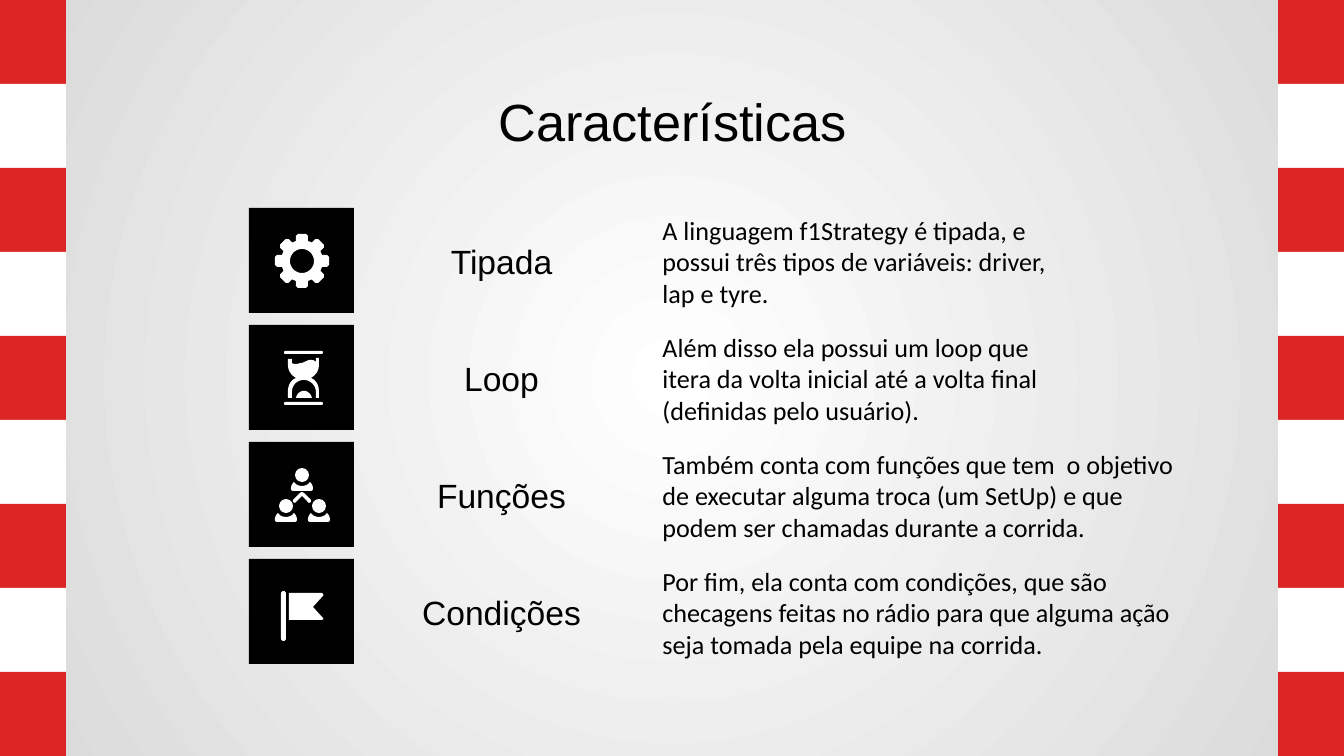
from math import cos, pi, sin

from lxml import etree
from pptx import Presentation
from pptx import util as u
from pptx.dml.color import RGBColor
from pptx.enum import shapes, text
from pptx.oxml import ns

PX = 914400 / 134.4
FINE = 10
HUES = {"red": "DC2525", "white": "FFFFFF", "black": "000000", "grey": "D9D9D9"}
RECT = shapes.MSO_SHAPE.RECTANGLE
OVAL = shapes.MSO_SHAPE.OVAL
PILL = shapes.MSO_SHAPE.ROUNDED_RECTANGLE
ROWS = [
    ("Tipada", 445, "A linguagem f1Strategy é tipada, e possui três tipos de variáveis: driver, lap e tyre."),
    ("Loop", 445, "Além disso ela possui um loop que itera da volta inicial até a volta final (definidas pelo usuário)."),
    ("Funções", 556, "Também conta com funções que tem  o objetivo de executar alguma troca (um SetUp) e que podem ser chamadas durante a corrida."),
    ("Condições", 535, "Por fim, ela conta com condições, que são checagens feitas no rádio para que alguma ação seja tomada pela equipe na corrida."),
]
GLASS = [
    (316, 358), (316, 362), (314, 360, 312, 360, 310, 360),
    (308, 360, 305, 362, 302, 363), (300, 363, 298, 364, 297, 364),
    (294, 364, 293, 364, 292, 363), (292, 359), (288, 359), (288, 364),
    (288, 371, 291, 375, 296, 378), (291, 380, 288, 385, 288, 392),
    (288, 398), (292, 398), (292, 392), (292, 385, 297, 380, 304, 380),
    (310, 380, 316, 385, 316, 392), (316, 398), (319, 398), (319, 392),
    (319, 385, 316, 380, 311, 378), (316, 375, 319, 371, 319, 364), (319, 358),
]
SAND = [(304, 391), (300, 391, 297, 394, 296, 398), (312, 398), (311, 394, 308, 391, 304, 391)]
BUST = [
    (294, 482), (292, 484, 291, 486, 291, 489), (291, 490, 292, 491, 293, 491),
    (311, 491), (312, 491, 313, 490, 313, 489), (313, 486, 312, 484, 310, 482),
    (308, 485, 305, 486, 302, 486), (299, 486, 296, 485, 294, 482),
]
LINKS = [
    (302, 492), (300, 493), (293, 500), (293, 502), (295, 503),
    (302, 496), (309, 503), (311, 502), (311, 500), (304, 493),
]
FLAG = [
    (289, 593), (289, 620), (321, 620), (323, 620, 324, 619, 323, 618),
    (313, 607), (323, 596), (324, 595, 323, 593, 321, 593),
]


def px(n):
    return u.Emu(round(n * PX))


def write(frame, words, size=14, font="Calibri", hue="black", align=text.PP_ALIGN.LEFT):
    frame.word_wrap = True
    frame.auto_size = text.MSO_AUTO_SIZE.NONE
    frame.vertical_anchor = text.MSO_ANCHOR.MIDDLE
    frame.margin_left = frame.margin_right = u.Inches(0.1)
    frame.margin_top = frame.margin_bottom = u.Inches(0.1)
    para = frame.paragraphs[0]
    para.alignment = align
    para.space_before = u.Pt(0)
    run = para.add_run()
    run.text = words
    run.font.size = u.Pt(size)
    run.font.name = font
    run.font.bold = False
    run.font.color.rgb = RGBColor.from_string(HUES[hue])
    return para


def flatten(path):
    dots = []
    for step in path:
        if len(step) == 2:
            dots.append(step)
            continue
        a, b, c, d = dots[-1], step[:2], step[2:4], step[4:]
        for i in range(1, 9):
            t = i / 8
            s = 1 - t
            dots.append(tuple(
                s**3 * a[k] + 3 * s * s * t * b[k] + 3 * s * t * t * c[k] + t**3 * d[k]
                for k in (0, 1)
            ))
    return dots


def shift(path, dx, dy):
    return [tuple(n + (dy if i % 2 else dx) for i, n in enumerate(step)) for step in path]


def cog(x, y):
    tooth = [(-6, -20), (-6, -25), (-4, -27), (4, -27), (6, -25), (6, -20)]
    rim = []
    for i in range(8):
        c, s = cos(i * pi / 4), sin(i * pi / 4)
        rim += [(x + a * c - b * s, y + a * s + b * c) for a, b in tooth]
    hole = [(x + 12 * cos(i * pi / 20), y - 12 * sin(i * pi / 20)) for i in range(40)]
    return rim, hole


class Deck:
    def __init__(self):
        self.prs = Presentation()
        self.prs.slide_width = px(1344)
        self.prs.slide_height = px(756)
        self.slide = self.prs.slides.add_slide(self.prs.slide_layouts[4])
        self.holders = list(self.slide.placeholders)

    def glow(self, inner, outer):
        fill = self.slide.background.fill
        fill.gradient()
        for stop, hue, spot in zip(fill.gradient_stops, (inner, outer), (0, 1)):
            stop.color.rgb = RGBColor.from_string(HUES[hue])
            stop.position = spot
        grad = self.slide.element.find(".//" + ns.qn("a:gradFill"))
        grad.remove(grad.find(ns.qn("a:lin")))
        path = etree.SubElement(grad, ns.qn("a:path"), {"path": "circle"})
        etree.SubElement(path, ns.qn("a:fillToRect"), dict.fromkeys("ltrb", "50000"))

    def paint(self, shape, hue):
        shape.shadow.inherit = False
        shape.fill.solid()
        shape.fill.fore_color.rgb = RGBColor.from_string(HUES[hue])
        shape.line.fill.background()

    def block(self, kind, x, y, w, h, hue="white"):
        shape = self.slide.shapes.add_shape(kind, px(x), px(y), px(w), px(h))
        if kind == PILL:
            shape.adjustments[0] = 0.5
        self.paint(shape, hue)

    def outline(self, *paths, hue="white"):
        pen = None
        for path in paths:
            dots = [(x * FINE, y * FINE) for x, y in flatten(path)]
            if pen is None:
                pen = self.slide.shapes.build_freeform(*dots[0], scale=PX / FINE)
            else:
                pen.move_to(*dots[0])
            pen.add_line_segments(dots[1:], close=True)
        self.paint(pen.convert_to_shape(), hue)

    def place(self, x, y, w, h):
        box = self.holders.pop(0)
        box.left, box.top, box.width, box.height = px(x), px(y), px(w), px(h)
        return box.text_frame

    def title(self, words, x, y, w, h):
        write(self.place(x, y, w, h), words, size=28, font="Arial", align=text.PP_ALIGN.CENTER)

    def body(self, words, x, y, w, h):
        para = write(self.place(x, y, w, h), words)
        props = para._p.get_or_add_pPr()
        props.set("marL", "0")
        props.set("indent", "0")
        etree.SubElement(props, ns.qn("a:buNone"))

    def label(self, words, x, y, w, h):
        box = self.slide.shapes.add_textbox(px(x), px(y), px(w), px(h))
        write(box.text_frame, words, size=18, font="Arial", align=text.PP_ALIGN.CENTER)


def main():
    deck = Deck()
    deck.glow("white", "grey")
    for x in (-2, 1278):
        for i in range(9):
            deck.block(RECT, x, 84 * i, 68, 84, "white" if i % 2 else "red")
    deck.title("Características", 106, 79, 1133, 84)
    for i, (name, wide, words) in enumerate(ROWS):
        y = 208 + 117 * i
        deck.block(RECT, 249, y, 105, 105, "black")
        deck.label(name, 364, y + 11, 275, 85)
        deck.body(words, 649, y + 11, wide, 85)
    deck.outline(*cog(302, 261))
    deck.outline(GLASS)
    deck.outline(SAND)
    for y in (351, 402):
        deck.block(PILL, 284, y, 39, 3)
    deck.outline(LINKS)
    for dx, dy in ((0, 0), (17, 31), (-16, 31)):
        deck.block(OVAL, 295 + dx, 468 + dy, 14, 14)
        deck.outline(shift(BUST, dx, dy))
    deck.block(PILL, 281, 591, 5, 50)
    deck.outline(FLAG)
    deck.prs.save("out.pptx")


if __name__ == "__main__":
    main()
